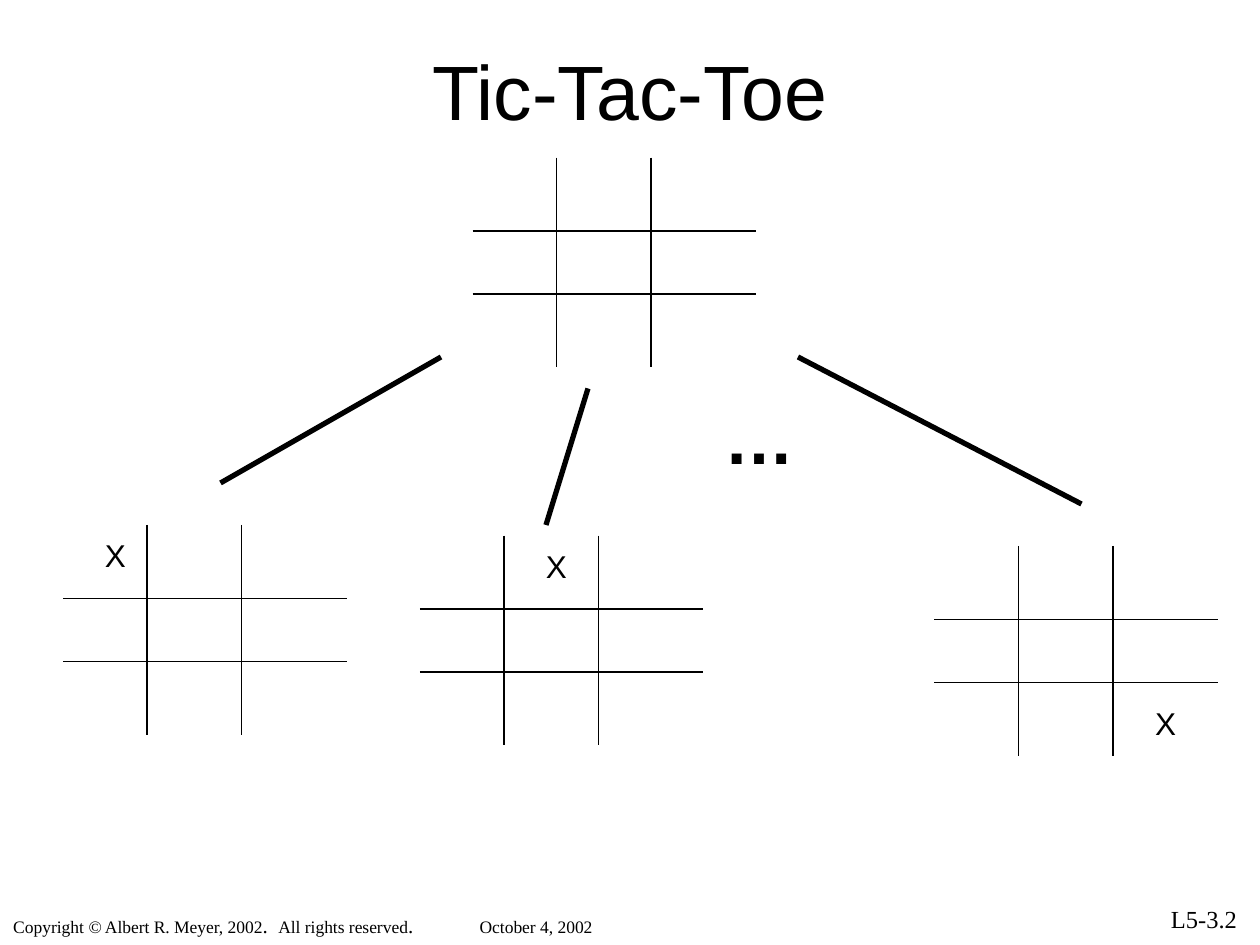
from lxml import etree
from pptx import Presentation
from pptx import util as u
from pptx.dml.color import RGBColor
from pptx.enum import shapes, text
from pptx.oxml import ns

COLOURS = {"ink": "000000", "paper": "FFFFFF"}
SANS, SERIF = "Arial", "Times New Roman"


class GameTreeSlide:
    """Holds the style and the slide; all lengths are in points."""

    def __init__(self, slide):
        self.slide = slide
        self.ink = RGBColor.from_string(COLOURS["ink"])
        fill = slide.background.fill
        fill.solid()
        fill.fore_color.rgb = RGBColor.from_string(COLOURS["paper"])

    def label(self, box, runs, font=SANS, align=text.PP_ALIGN.LEFT, wrap=False,
              anchor=text.MSO_ANCHOR.TOP, bold=False, parent=None):
        """Add one line of text; runs are (words, size, italic)."""
        parent = parent or self.slide.shapes
        frame = parent.add_textbox(*(u.Pt(v) for v in box)).text_frame
        frame.word_wrap = wrap
        frame.vertical_anchor = anchor
        line = frame.paragraphs[0]
        line.alignment = align
        for words, size, italic in runs:
            run = line.add_run()
            run.text = words
            run.font.name = font
            run.font.size = u.Pt(size)
            run.font.bold = bold
            run.font.italic = italic
            run.font.color.rgb = self.ink

    def line(self, start, end, width, parent=None):
        parent = parent or self.slide.shapes
        stroke = parent.add_connector(shapes.MSO_CONNECTOR.STRAIGHT,
                                      *(u.Pt(v) for v in (*start, *end)))
        stroke.line.color.rgb = self.ink
        stroke.line.width = u.Pt(width)
        etree.SubElement(stroke._element.spPr, ns.qn("a:effectLst"))

    def board(self, left, top, mark=None):
        """Add a 162 x 120 grid; mark is the offset of the X, if any."""
        grid = self.slide.shapes.add_group_shape().shapes
        for x in (48, 102):
            self.line((left + x, top), (left + x, top + 120), 0.75, grid)
        for y in (42, 78):
            self.line((left, top + y), (left + 162, top + y), 0.75, grid)
        if mark:
            self.label((left + mark[0], top + mark[1], 26, 29),
                       [("X", 18, False)], parent=grid)


def main():
    deck = Presentation()
    deck.slide_width, deck.slide_height = u.Pt(720), u.Pt(540)
    page = GameTreeSlide(deck.slides.add_slide(deck.slide_layouts[6]))

    # Footer
    page.label((630, 513.2, 84, 24.5), [("L5-3.2", 14, False)], SERIF,
               text.PP_ALIGN.RIGHT, wrap=True)
    page.label((267, 520, 90, 19.5), [("October 4, 2002", 10, False)], SERIF)
    page.label((0.5, 517.8, 252, 21.8), [
        ("Copyright ", 10, False), ("©", 10, True),
        (" Albert R. Meyer, 2002", 10, False), (".  ", 12, False),
        ("All rights reserved", 10, False), (".", 12, False)], SERIF)

    # Title
    page.label((132, 12.5, 456, 78), [("Tic-Tac-Toe", 44, False)],
               align=text.PP_ALIGN.CENTER, wrap=True,
               anchor=text.MSO_ANCHOR.MIDDLE)

    # Empty board and the boards after the first move
    for left, top, first_move in ((270, 90, None), (36, 300, (16.8, 3)),
                                  (240, 306, (64.8, 3)), (534, 312, (119, 87))):
        page.board(left, top, first_move)

    # Branches of the game tree
    for start, end in (((252, 204), (126, 276)), ((336, 222), (312, 300)),
                       ((456, 204), (618, 288))):
        page.line(start, end, 3)
    page.label((407, 222, 54, 55.5), [("…", 40, False)], bold=True)

    deck.save("out.pptx")


if __name__ == "__main__":
    main()
